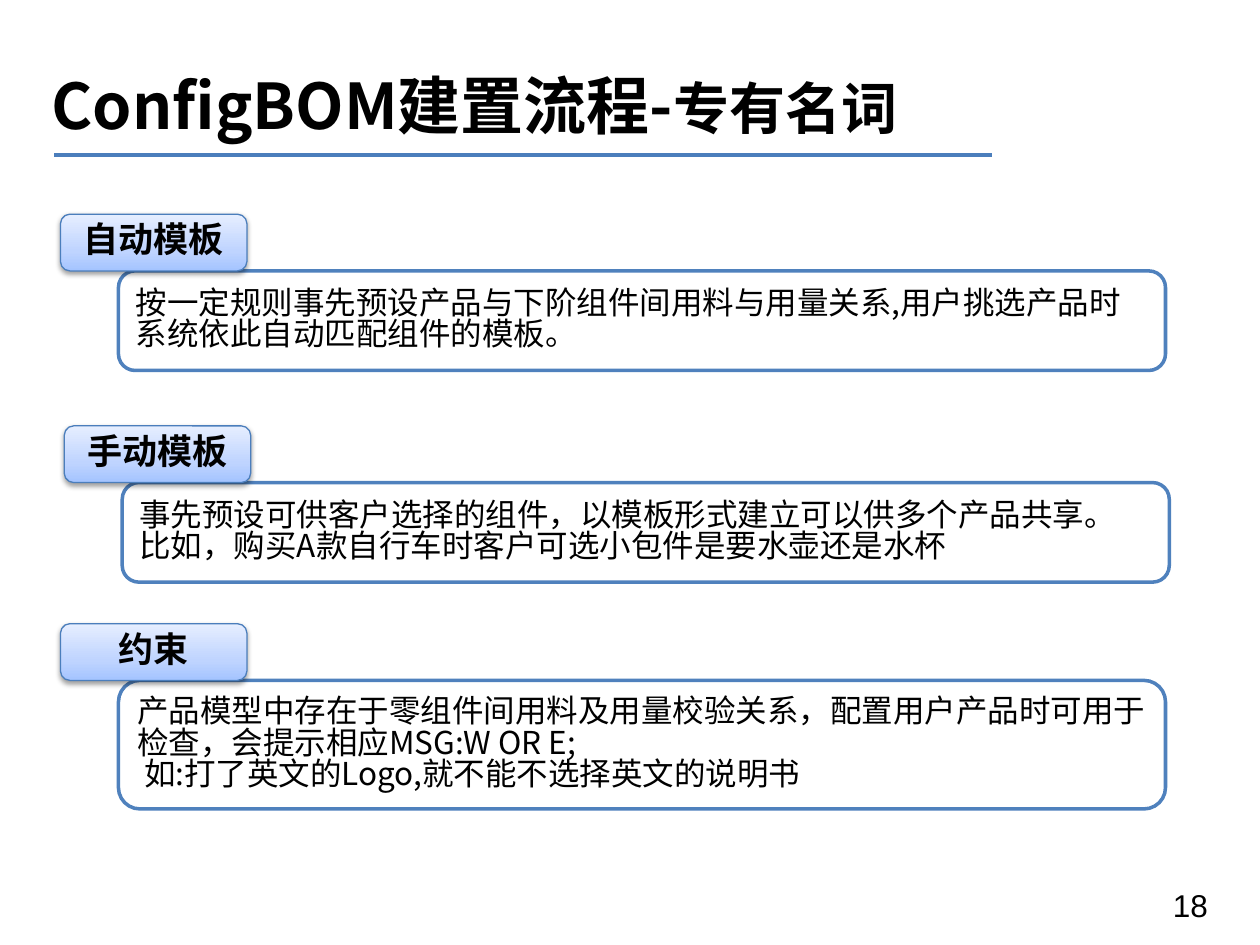
from lxml import etree
from pptx import Presentation
from pptx.dml.color import RGBColor as RGB
from pptx.enum.shapes import MSO_CONNECTOR as LINK, MSO_SHAPE as SHAPE
from pptx.enum.text import MSO_ANCHOR as ANCHOR, PP_ALIGN as ALIGN
from pptx.oxml import parse_xml
from pptx.oxml.ns import nsdecls, qn
from pptx.util import Inches, Pt

SANS = "Noto Sans CJK SC"
STOPS = [(0, "A4C4FF"), (35, "BFD4FF"), (100, "E6EEFF")]
TERMS = [
    (0.48, 1.7, 0.79, "自动模板",
     ["按一定规则事先预设产品与下阶组件间用料与用量关系,用户挑选产品时系统依此自动匹配组件的模板。"]),
    (0.51, 3.38, 0.79, "手动模板",
     ["事先预设可供客户选择的组件，以模板形式建立可以供多个产品共享。",
      "比如，购买A款自行车时客户可选小包件是要水壶还是水杯"]),
    (0.48, 4.95, 1.02, "约束",
     ["产品模型中存在于零组件间用料及用量校验关系，配置用户产品时可用于检查，会提示相应MSG:W OR E;",
      " 如:打了英文的Logo,就不能不选择英文的说明书"]),
]


def color(code):
    """Turn a hex string into a colour."""
    return RGB.from_string(code)


def style(para, size, bold=False, face=SANS, space=0.83):
    """Set the font of a paragraph for Latin and Chinese text."""
    font = para.font
    font.size, font.bold, font.name = Pt(size), bold, face
    font.color.rgb = color("000000")
    para.line_spacing = space
    base = para._p.pPr.find(qn("a:defRPr"))
    etree.SubElement(base, qn("a:ea")).set("typeface", face)


def write(shape, lines, size, bold=False, align=ALIGN.LEFT):
    """Fill a shape with vertically centred lines of text."""
    frame = shape.text_frame
    frame.word_wrap = True
    frame.vertical_anchor = ANCHOR.MIDDLE
    frame.text = "\n".join(lines)
    for para in frame.paragraphs:
        para.alignment = align
        style(para, size, bold)


def add_box(slide, place, edge, width):
    """Add a white rounded box with a coloured edge."""
    box = slide.shapes.add_shape(SHAPE.ROUNDED_RECTANGLE, *map(Inches, place))
    box.shadow.inherit = False
    box.fill.solid()
    box.fill.fore_color.rgb = color("FFFFFF")
    box.line.color.rgb = color(edge)
    box.line.width = Pt(width)
    return box


def add_glow(box):
    """Give a box the blue gradient and the soft shadow of a label."""
    stops = "".join(
        f'<a:gs pos="{pos * 1000}"><a:srgbClr val="{code}"/></a:gs>'
        for pos, code in STOPS)
    props = box._element.spPr
    props.replace(props.find(qn("a:solidFill")), parse_xml(
        f'<a:gradFill {nsdecls("a")} rotWithShape="1"><a:gsLst>{stops}</a:gsLst>'
        '<a:lin ang="16200000" scaled="1"/></a:gradFill>'))
    props.find(qn("a:effectLst")).append(parse_xml(
        f'<a:outerShdw {nsdecls("a")} blurRad="{Pt(3.1)}" dist="{Pt(1.6)}" '
        'dir="5400000" rotWithShape="0"><a:srgbClr val="000000">'
        '<a:alpha val="38000"/></a:srgbClr></a:outerShdw>'))


def add_term(slide, left, top, height, name, lines):
    """Add a labelled definition."""
    place = left + 0.46, top + 0.45, 8.31, height
    write(add_box(slide, place, "4F81BD", 2), lines, 18)
    label = add_box(slide, (left, top, 1.48, 0.45), "4B7EBC", 0.75)
    add_glow(label)
    write(label, [name], 20, True, ALIGN.CENTER)


def add_title(slide):
    """Add the two-size title and the rule below it."""
    box = slide.shapes.add_textbox(*map(Inches, (0.31, 0.52, 9.65, 0.71)))
    write(box, ["ConfigBOM建置流程-"], 36, True)
    run = box.text_frame.paragraphs[0].add_run()
    run.text = "专有名词"
    run.font.size = Pt(32)
    rule = slide.shapes.add_connector(
        LINK.STRAIGHT, *map(Inches, (0.43, 1.23, 7.87, 1.23)))
    rule.line.color.rgb = color("4B7EBC")
    rule.line.width = Pt(2.25)
    etree.SubElement(rule._element.spPr, qn("a:effectLst"))


def add_page(slide):
    """Add the page number."""
    box = slide.shapes.add_textbox(*map(Inches, (9.21, 6.98, 0.79, 0.52)))
    box.text_frame.word_wrap = True
    box.text_frame.text = "18"
    style(box.text_frame.paragraphs[0], 18, face="Arial", space=1.0)


def main():
    """Build the slide and save it."""
    deck = Presentation()
    deck.slide_width, deck.slide_height = Inches(10), Inches(7.5)
    slide = deck.slides.add_slide(deck.slide_layouts[6])
    add_page(slide)
    add_title(slide)
    for term in TERMS:
        add_term(slide, *term)
    deck.save("out.pptx")


if __name__ == "__main__":
    main()
